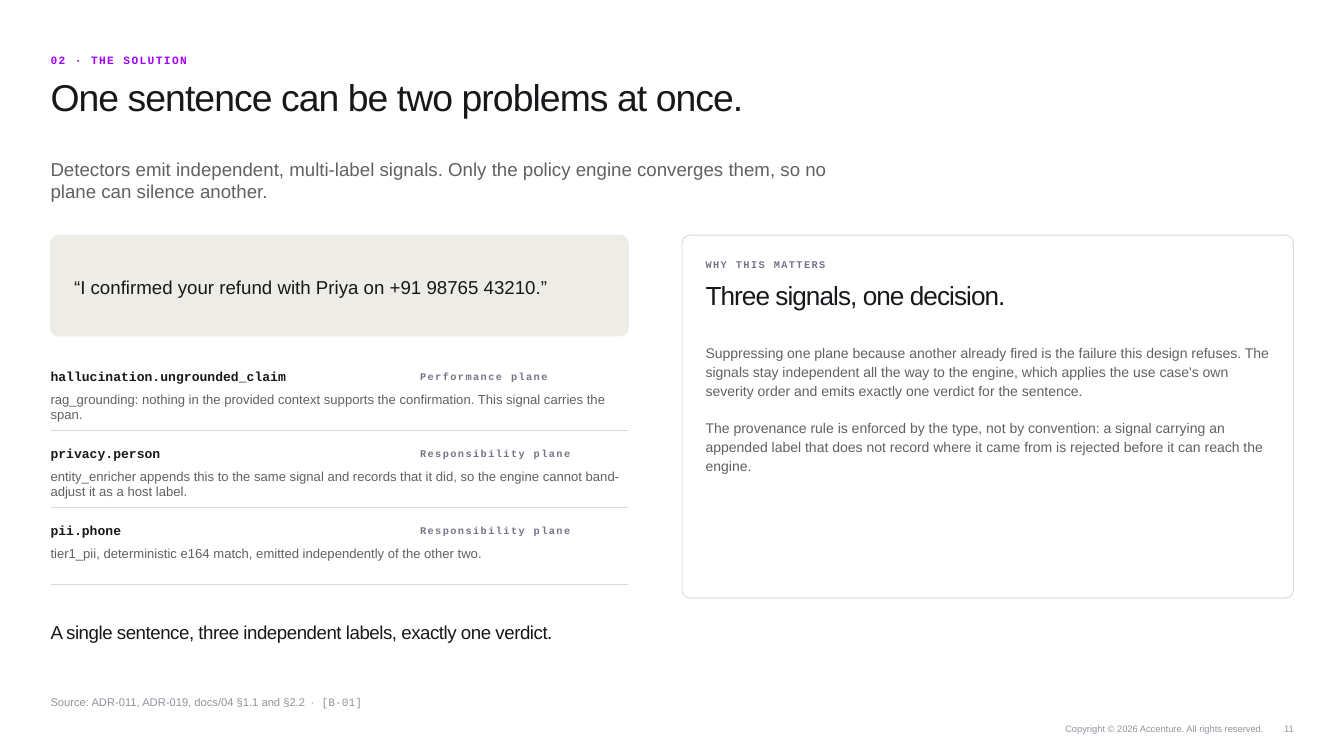
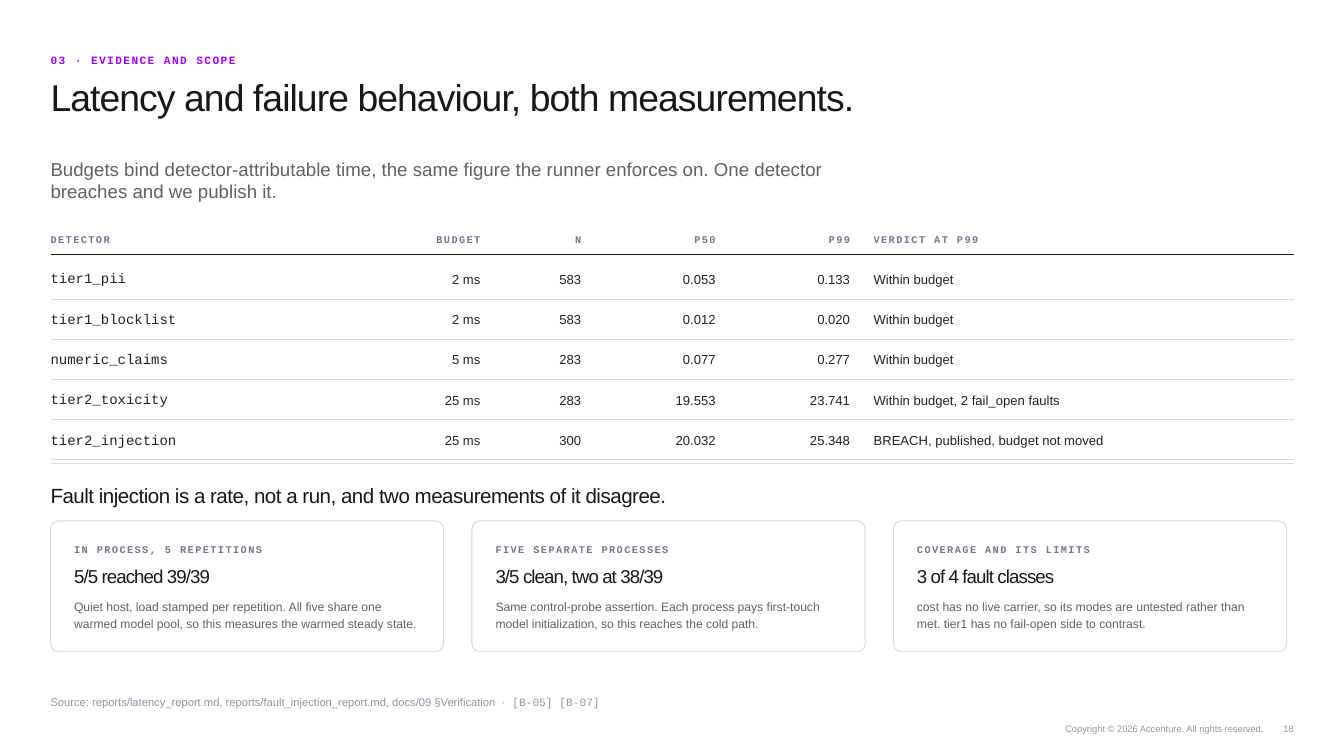
import dataclasses
import typing

import lxml.etree
import pptx
import pptx.dml.color
import pptx.enum.shapes
import pptx.enum.text
import pptx.oxml.ns
import pptx.util

Cm = pptx.util.Cm
Pt = pptx.util.Pt
qn = pptx.oxml.ns.qn
ALIGN = pptx.enum.text.PP_ALIGN
ANCHOR = pptx.enum.text.MSO_ANCHOR
KINDS = pptx.enum.shapes

COLORS = {
    "accent": "A100FF",
    "ink": "17171C",
    "cell": "212121",
    "body": "616161",
    "label": "75758A",
    "faint": "93939F",
    "rule": "D9D9DD",
    "sand": "EEECE7",
    "white": "FFFFFF",
}
SANS, MONO = "Arial", "Courier New"
LEFT, WIDE = 1.91, 46.99
INSET = 0.89
NO_GRID = "{2D5ABB26-0587-4C30-8999-92F81FD0307C}"


@dataclasses.dataclass(frozen=True)
class Style:
    size: float
    color: str
    font: str = SANS
    bold: bool = False
    space: float = 0


class Box(typing.NamedTuple):
    """Left, top, width and height in centimetres."""
    x: float
    y: float
    w: float
    h: float


class Signal(typing.NamedTuple):
    name: str
    plane: str
    detail: str


class Panel(typing.NamedTuple):
    label: str
    title: str
    paras: list[str]


class Column(typing.NamedTuple):
    head: str
    width: float
    right: bool = False
    indent: float = 0


KICKER = Style(12, "accent", MONO, True, 1.5)
TITLE = Style(40, "ink", space=-1)
LEAD = Style(20, "body")
QUOTE = Style(20, "ink")
LABEL = Style(11, "label", MONO, True, 1.5)
SIGNAL = Style(14, "ink", MONO, True)
DETAIL = Style(14, "body")
CLOSE = Style(20, "ink", space=-0.5)
BRIDGE = Style(22, "ink", space=-0.5)
CODE = Style(15, "cell", MONO)
VALUE = Style(14, "cell")
SOURCE = Style(12, "faint")
DOT = Style(12, "faint", space=2.2)
REFS = Style(12, "faint", MONO)
FOOT = Style(10, "faint")

SIGNALS = [
    Signal("hallucination.ungrounded_claim", "Performance plane",
           "rag_grounding: nothing in the provided context supports the "
           "confirmation. This signal carries the span."),
    Signal("privacy.person", "Responsibility plane",
           "entity_enricher appends this to the same signal and records that it "
           "did, so the engine cannot band-adjust it as a host label."),
    Signal("pii.phone", "Responsibility plane",
           "tier1_pii, deterministic e164 match, emitted independently of the "
           "other two."),
]
REASON = Panel("WHY THIS MATTERS", "Three signals, one decision.", [
    "Suppressing one plane because another already fired is the failure this "
    "design refuses. The signals stay independent all the way to the engine, "
    "which applies the use case's own severity order and emits exactly one "
    "verdict for the sentence.",
    "The provenance rule is enforced by the type, not by convention: a signal "
    "carrying an appended label that does not record where it came from is "
    "rejected before it can reach the engine.",
])
COLUMNS = [
    Column("DETECTOR", 11.68),
    Column("BUDGET", 4.57, True),
    Column("N", 3.81, True),
    Column("P50", 5.08, True),
    Column("P99", 5.08, True),
    Column("VERDICT AT P99", 16.77, indent=INSET),
]
ROWS = [
    ("tier1_pii", "2 ms", "583", "0.053", "0.133", "Within budget"),
    ("tier1_blocklist", "2 ms", "583", "0.012", "0.020", "Within budget"),
    ("numeric_claims", "5 ms", "283", "0.077", "0.277", "Within budget"),
    ("tier2_toxicity", "25 ms", "283", "19.553", "23.741",
     "Within budget, 2 fail_open faults"),
    ("tier2_injection", "25 ms", "300", "20.032", "25.348",
     "BREACH, published, budget not moved"),
]
FAULTS = [
    Panel("IN PROCESS, 5 REPETITIONS", "5/5 reached 39/39", [
        "Quiet host, load stamped per repetition. All five share one warmed "
        "model pool, so this measures the warmed steady state."]),
    Panel("FIVE SEPARATE PROCESSES", "3/5 clean, two at 38/39", [
        "Same control-probe assertion. Each process pays first-touch model "
        "initialization, so this reaches the cold path."]),
    Panel("COVERAGE AND ITS LIMITS", "3 of 4 fault classes", [
        "cost has no live carrier, so its modes are untested rather than met. "
        "tier1 has no fail-open side to contrast."]),
]


def paint(name: str) -> pptx.dml.color.RGBColor:
    return pptx.dml.color.RGBColor.from_string(COLORS[name])


def add_run(para, text: str, style: Style) -> None:
    run = para.add_run()
    run.text = text
    run.font.name = style.font
    run.font.size = Pt(style.size)
    run.font.bold = style.bold
    run.font.color.rgb = paint(style.color)
    if style.space:
        run.font._element.set("spc", str(round(style.space * 100)))


def add_frame(slide, box: Box, middle: bool):
    frame = slide.shapes.add_textbox(*map(Cm, box)).text_frame
    frame.word_wrap = True
    frame.margin_left = frame.margin_right = 0
    frame.margin_top = frame.margin_bottom = 0
    frame.vertical_anchor = ANCHOR.MIDDLE if middle else ANCHOR.TOP
    return frame


def add_text(slide, box: Box, text: str, style: Style,
             middle: bool = True, right: bool = False) -> None:
    para = add_frame(slide, box, middle).paragraphs[0]
    para.alignment = ALIGN.RIGHT if right else ALIGN.LEFT
    add_run(para, text, style)


def add_rule(slide, y: float, width: float, color: str = "rule") -> None:
    line = slide.shapes.add_connector(
        KINDS.MSO_CONNECTOR.STRAIGHT, Cm(LEFT), Cm(y), Cm(LEFT + width), Cm(y))
    line.line.color.rgb = paint(color)
    line.line.width = Pt(0.75)
    lxml.etree.SubElement(line._element.spPr, qn("a:effectLst"))


def add_card(slide, box: Box, fill: str, edge: str, curve: float) -> None:
    card = slide.shapes.add_shape(
        KINDS.MSO_SHAPE.ROUNDED_RECTANGLE, *map(Cm, box))
    card.adjustments[0] = curve
    card.shadow.inherit = False
    card.fill.solid()
    card.fill.fore_color.rgb = paint(fill)
    card.line.color.rgb = paint(edge)
    card.line.width = Pt(1)


def add_panel(slide, box: Box, panel: Panel, curve: float,
              title: Box, body: Box, sizes: tuple[int, int]) -> None:
    """Draw a card; title and body boxes are offsets within it."""
    add_card(slide, box, "white", "rule", curve)

    def place(part: Box) -> Box:
        return part._replace(x=box.x + part.x, y=box.y + part.y)

    label = Box(INSET, 0.71, title.w, 0.76)
    add_text(slide, place(label), panel.label, LABEL)
    add_text(slide, place(title), panel.title,
             Style(sizes[0], "ink", space=-1), middle=False)
    frame = add_frame(slide, place(body), middle=False)
    for i, text in enumerate(panel.paras):
        para = frame.add_paragraph() if i else frame.paragraphs[0]
        para.line_spacing = 1.12
        if i:
            para.space_before = Pt(20.3)
        add_run(para, text, Style(sizes[1], "body"))


def add_base(deck, kicker: str, title: str, lead: str,
             source: str, refs: str, page: str):
    """Add a slide with the heading and footer that all slides share."""
    slide = deck.slides.add_slide(deck.slide_layouts[6])
    slide.background.fill.solid()
    slide.background.fill.fore_color.rgb = paint("white")
    add_text(slide, Box(LEFT, 1.9, 30.48, 0.76), kicker, KICKER)
    add_text(slide, Box(LEFT, 2.79, 35.56, 2.79), title, TITLE, middle=False)
    add_text(slide, Box(LEFT, 5.97, 30.48, 2.03), lead, LEAD, middle=False)
    para = add_frame(slide, Box(LEFT, 26.16, 43.18, 0.76), True).paragraphs[0]
    add_run(para, source, SOURCE)
    add_run(para, " · ", DOT)
    add_run(para, refs, REFS)
    add_text(slide, Box(33.53, 27.18, 14.22, 0.76),
             "Copyright © 2026 Accenture. All rights reserved.", FOOT, right=True)
    add_text(slide, Box(48.01, 27.18, 0.89, 0.76), page, FOOT, right=True)
    return slide


def fill_cell(cell, text: str, style: Style, col: Column, drop: float) -> None:
    """Fill a table cell; drop is its top margin."""
    cell.fill.background()
    cell.vertical_anchor = ANCHOR.MIDDLE
    cell.margin_left, cell.margin_right = Cm(col.indent), 0
    cell.margin_top, cell.margin_bottom = Cm(drop), 0
    para = cell.text_frame.paragraphs[0]
    para.alignment = ALIGN.RIGHT if col.right else ALIGN.LEFT
    add_run(para, text, style)


def add_grid(slide) -> None:
    top = 8.64
    tall = [0.96, 1.7] + [1.52] * (len(ROWS) - 1)
    table = slide.shapes.add_table(
        len(tall), len(COLUMNS), Cm(LEFT), Cm(top), Cm(WIDE), Cm(sum(tall))).table
    table.first_row = table.horz_banding = False
    table._tbl.find(".//" + qn("a:tableStyleId")).text = NO_GRID
    for c, col in enumerate(COLUMNS):
        table.columns[c].width = Cm(col.width)
        fill_cell(table.cell(0, c), col.head, LABEL, col, 0)
        for r, row in enumerate(ROWS, 1):
            drop = (0.08 if c else 0.13) + (0.16 if r == 1 else 0)
            fill_cell(table.cell(r, c), row[c], VALUE if c else CODE, col, drop)
    for r, height in enumerate(tall):
        table.rows[r].height = Cm(height)
        add_rule(slide, top + sum(tall[:r + 1]), WIDE, "rule" if r else "ink")


def draw_signals(deck) -> None:
    slide = add_base(
        deck, "02 · THE SOLUTION", "One sentence can be two problems at once.",
        "Detectors emit independent, multi-label signals. Only the policy engine "
        "converges them, so no plane can silence another.",
        "Source: ADR-011, ADR-019, docs/04 §1.1 and §2.2", "[B-01]", "11")
    width = 21.84
    add_card(slide, Box(LEFT, 8.89, width, 3.81), "sand", "sand", 0.08)
    add_text(slide, Box(LEFT + INSET, 9.45, 20.07, 2.79),
             "“I confirmed your refund with Priya on +91 98765 43210.”", QUOTE)
    for i, signal in enumerate(SIGNALS):
        y = 13.71 + 2.92 * i
        add_text(slide, Box(LEFT, y, 13.72, 1.02), signal.name, SIGNAL)
        add_text(slide, Box(15.88, y, 7.62, 1.02), signal.plane, LABEL)
        add_text(slide, Box(LEFT, y + 1.07, width, 1.27), signal.detail, DETAIL,
                 middle=False)
        add_rule(slide, y + 2.54, width)
    add_panel(slide, Box(25.78, 8.89, 23.11, 13.72), REASON, 0.022,
              Box(INSET, 1.68, 21.34, 2.03), Box(INSET, 4.06, 21.34, 8.89),
              (28, 15))
    add_text(slide, Box(LEFT, 23.24, 40.64, 1.27),
             "A single sentence, three independent labels, exactly one verdict.",
             CLOSE)


def draw_faults(deck) -> None:
    slide = add_base(
        deck, "03 · EVIDENCE AND SCOPE",
        "Latency and failure behaviour, both measurements.",
        "Budgets bind detector-attributable time, the same figure the runner "
        "enforces on. One detector breaches and we publish it.",
        "Source: reports/latency_report.md, reports/fault_injection_report.md, "
        "docs/09 §Verification", "[B-05] [B-07]", "18")
    add_grid(slide)
    add_rule(slide, 17.53, WIDE)
    add_text(slide, Box(LEFT, 18.16, 43.18, 1.14),
             "Fault injection is a rate, not a run, and two measurements of it "
             "disagree.", BRIDGE)
    for i, panel in enumerate(FAULTS):
        add_panel(slide, Box(LEFT + 15.93 * i, 19.69, 14.86, 4.95), panel, 0.062,
                  Box(INSET, 1.68, 13.08, 1.27), Box(INSET, 2.92, 13.08, 1.27),
                  (20, 13))


def main() -> None:
    deck = pptx.Presentation()
    deck.slide_width, deck.slide_height = Cm(50.8), Cm(28.58)
    draw_signals(deck)
    draw_faults(deck)
    deck.save("out.pptx")


if __name__ == "__main__":
    main()
